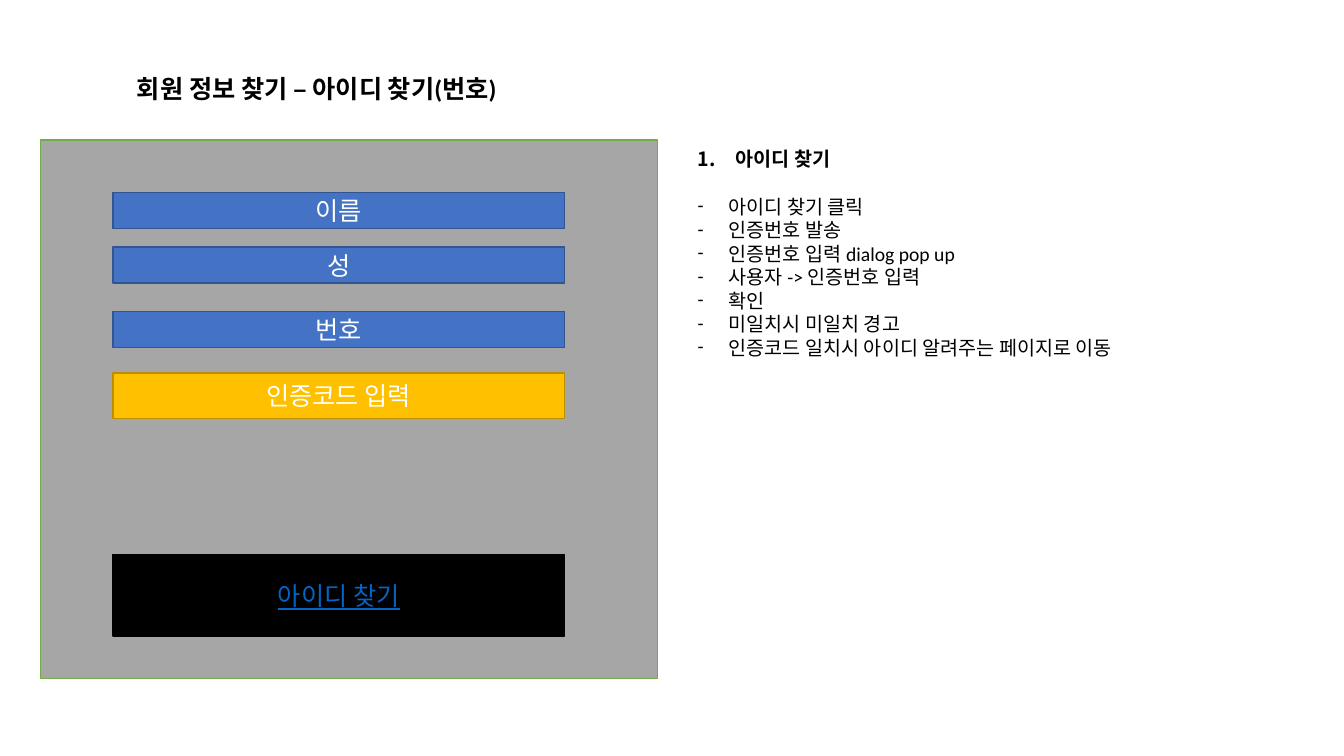
from dataclasses import dataclass

from lxml.etree import SubElement
from pptx import Presentation
from pptx.dml.color import RGBColor
from pptx.enum.shapes import MSO_SHAPE as Shape
from pptx.enum.text import MSO_ANCHOR as Anchor, MSO_AUTO_SIZE as AutoSize, PP_ALIGN as Align
from pptx.oxml.ns import qn
from pptx.util import Pt

EMU_PER_PX = 9144  # 100 px to the inch
FONT = "Calibri"
COLORS = {
    "panel": "A6A6A6", "panel_line": "70AD47",
    "field": "4472C4", "field_line": "325491",
    "code": "FFC000", "code_line": "BD8E00",
    "black": "000000", "white": "FFFFFF", "link": "0563C1",
}


@dataclass(frozen=True)
class Block:
    left: int
    top: int
    width: int
    height: int
    fill: str
    line: str
    text: str = ""
    color: str = "white"
    underline: bool = False


FIELD_LEFT, FIELD_WIDTH, FIELD_HEIGHT = 112, 448, 36
FIELDS = {"이름": 191, "성": 245, "번호": 309}
BLOCKS = [
    Block(40, 139, 612, 534, "panel", "panel_line"),
    *(Block(FIELD_LEFT, top, FIELD_WIDTH, FIELD_HEIGHT, "field", "field_line", label)
      for label, top in FIELDS.items()),
    Block(FIELD_LEFT, 370, FIELD_WIDTH, 45, "code", "code_line", "인증코드 입력"),
    Block(FIELD_LEFT, 550, FIELD_WIDTH, 81, "black", "black", "아이디 찾기", "link", True),
]
STEPS = [
    "아이디 찾기 클릭",
    "인증번호 발송",
    "인증번호 입력 dialog pop up",
    "사용자 -> 인증번호 입력",
    "확인",
    "미일치시 미일치 경고",
    "인증코드 일치시 아이디 알려주는 페이지로 이동",
]


def px(length: int) -> int:
    return length * EMU_PER_PX


def rgb(name: str) -> RGBColor:
    return RGBColor.from_string(COLORS[name])


def write(para, text: str, *, size: int = 18, color: str = "black", bold: bool = False,
          underline: bool = False, align=Align.LEFT, space_before: int = 0) -> None:
    para.alignment = align
    para.space_before = Pt(space_before)
    span = para.add_run()
    span.text = text
    font = span.font
    font.name, font.size, font.bold = FONT, Pt(size), bold
    font.color.rgb = rgb(color)
    if underline:
        font.underline = True


def set_bullet(para, indent: int, tag: str, **attributes: str) -> None:
    properties = para._p.get_or_add_pPr()
    properties.set("marL", str(px(indent)))
    properties.set("indent", str(-px(indent)))
    SubElement(properties, qn("a:buFont"), typeface=FONT)
    SubElement(properties, qn(tag), **attributes)


def add_block(page, block: Block) -> None:
    box = page.shapes.add_shape(Shape.RECTANGLE, px(block.left), px(block.top),
                                px(block.width), px(block.height))
    box.shadow.inherit = False
    box.fill.solid()
    box.fill.fore_color.rgb = rgb(block.fill)
    box.line.color.rgb = rgb(block.line)
    box.line.width = Pt(1)
    if block.text:
        box.text_frame.vertical_anchor = Anchor.MIDDLE
        write(box.text_frame.paragraphs[0], block.text, color=block.color,
              underline=block.underline, align=Align.CENTER)


def add_text_frame(page, left: int, top: int, width: int, height: int):
    box = page.shapes.add_textbox(px(left), px(top), px(width), px(height))
    box.text_frame.word_wrap = True
    box.text_frame.auto_size = AutoSize.SHAPE_TO_FIT_TEXT
    return box.text_frame


def main() -> None:
    deck = Presentation()
    deck.slide_width, deck.slide_height = px(1333), px(750)
    page = deck.slides.add_slide(deck.slide_layouts[6])

    # Form mock-up
    for block in BLOCKS:
        add_block(page, block)

    # Title
    title = add_text_frame(page, 126, 68, 541, 40)
    write(title.paragraphs[0], "회원 정보 찾기 – 아이디 찾기(번호)", bold=True)

    # Flow description
    flow = add_text_frame(page, 682, 141, 577, 222)
    heading = flow.paragraphs[0]
    set_bullet(heading, 38, "a:buAutoNum", type="arabicPeriod")
    write(heading, "아이디 찾기", size=14, bold=True)
    for index, step in enumerate(STEPS):
        para = flow.add_paragraph()
        set_bullet(para, 31, "a:buChar", char="-")
        write(para, step, size=14, space_before=0 if index else 17)

    deck.save("out.pptx")


if __name__ == "__main__":
    main()
